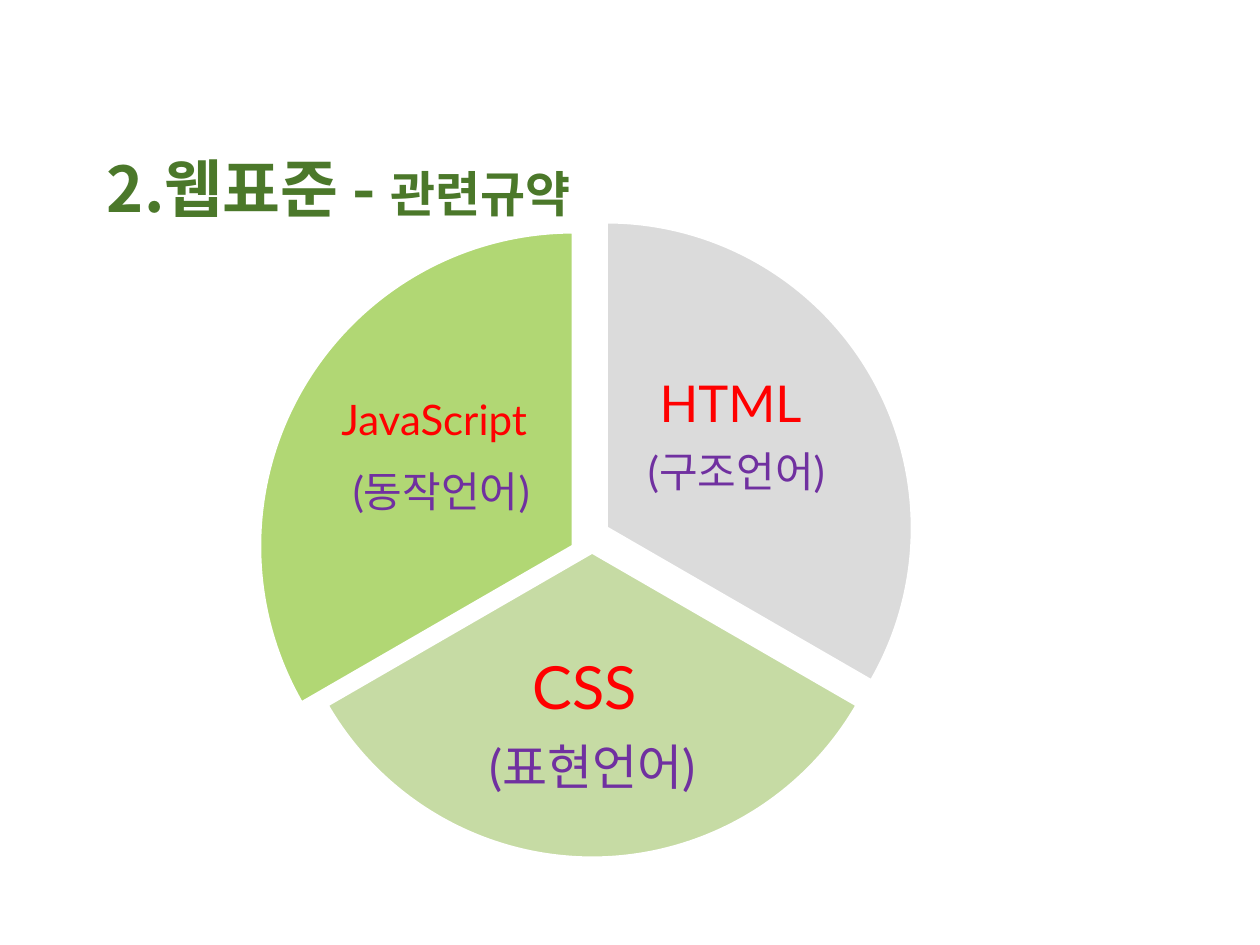
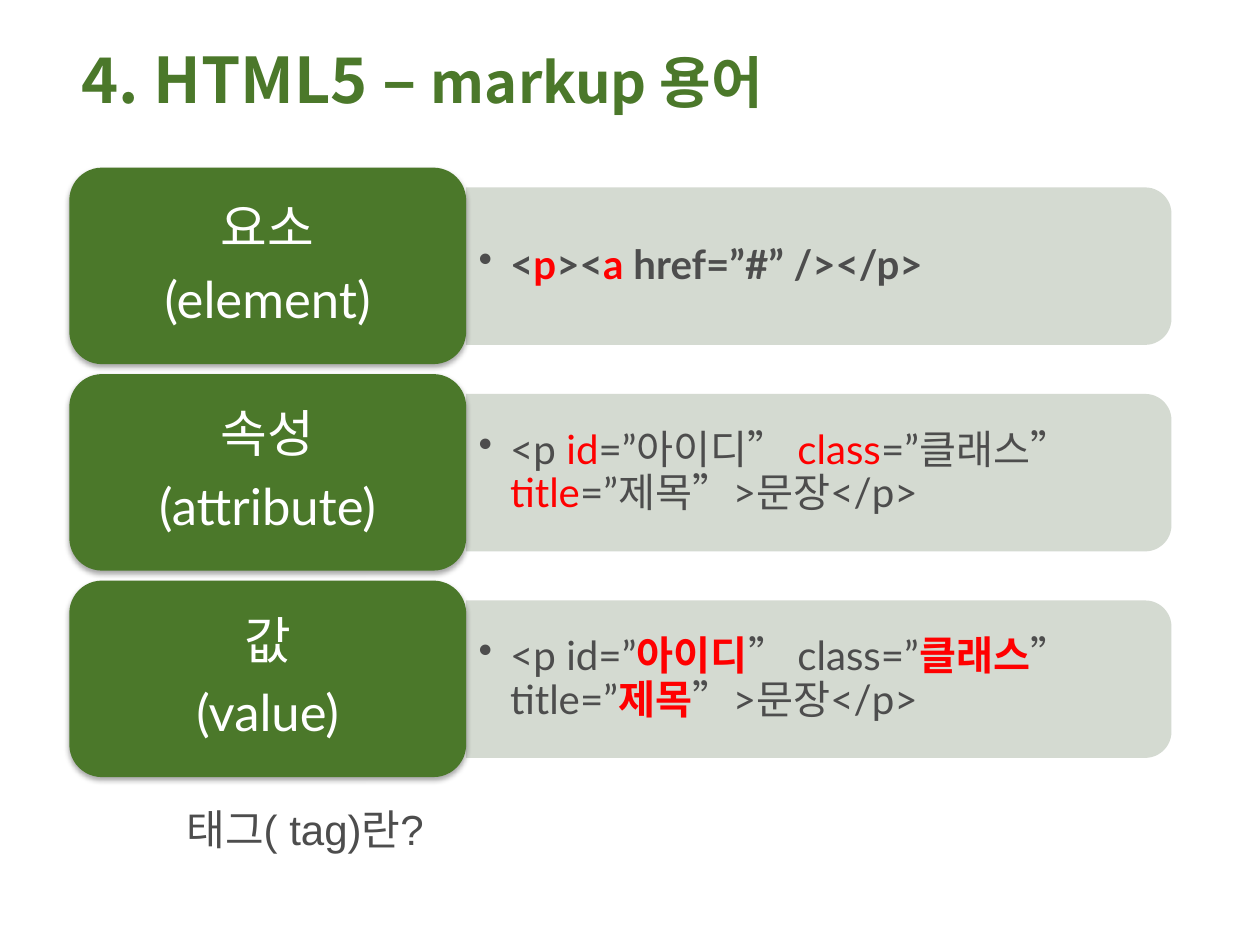
from lxml import etree
from pptx import Presentation
from pptx import util as u
from pptx.dml import color
from pptx.enum import shapes, text
from pptx.oxml import ns

Pt = u.Pt
GREEN, RED, PURPLE, GREY, WHITE = "4B782A", "FF0000", "7030A0", "4D4D4D", "FFFFFF"
KOREAN = "Noto Sans CJK KR"


def rgb(code):
    return color.RGBColor.from_string(code)


def sub(node, tag, **attrs):
    return etree.SubElement(node, ns.qn(tag), {k: str(v) for k, v in attrs.items()})


class Deck:
    """Draws the elements of each slide in one shared style."""

    def __init__(self):
        self.prs = Presentation()
        self.prs.slide_width, self.prs.slide_height = Pt(720), Pt(540)

    def page(self):
        self.slide = self.prs.slides.add_slide(self.prs.slide_layouts[6])

    def box(self, at, paras, font="Lato", pad=(7.2, 3.6), mid=True):
        """Each paragraph is a list of (words, size, colour, bold) runs."""
        frame = self.slide.shapes.add_textbox(*map(Pt, at)).text_frame
        frame.word_wrap = True
        frame.auto_size = text.MSO_AUTO_SIZE.NONE
        frame.margin_left = frame.margin_right = Pt(pad[0])
        frame.margin_top = frame.margin_bottom = Pt(pad[1])
        frame.vertical_anchor = text.MSO_ANCHOR.MIDDLE if mid else text.MSO_ANCHOR.TOP
        for i, runs in enumerate(paras):
            para = frame.add_paragraph() if i else frame.paragraphs[0]
            for words, size, tone, bold in runs:
                run = para.add_run()
                run.text = words
                run.font.size, run.font.bold = Pt(size), bold
                run.font.name = font
                run.font.color.rgb = rgb(tone)
                sub(run.font._element, "a:ea", typeface=KOREAN)
        return frame

    def title(self, left, top, head, tail, size):
        runs = [(head, 36, GREEN, True), (tail, size, GREEN, True)]
        self.box((left, top, 558, 45.4), [runs], KOREAN)

    def stack(self, at, paras, pad):
        """Adds centred lines with a gap in proportion to their size."""
        frame = self.box(at, paras, pad=pad)
        for para, runs in zip(frame.paragraphs, paras):
            para.alignment = text.PP_ALIGN.CENTER
            para.line_spacing = 0.9
            para.space_after = Pt(round(runs[-1][1] * 0.35, 1))

    def shape(self, kind, at, fill, edge=None):
        item = self.slide.shapes.add_shape(kind, *map(Pt, at))
        item.shadow.inherit = False
        item.fill.solid()
        item.fill.fore_color.rgb = rgb(fill)
        if edge:
            item.line.color.rgb, item.line.width = rgb(edge), Pt(2)
        else:
            item.line.fill.background()
        return item

    def slice(self, at, fill, start, end):
        """Adds a pie slice between two angles in degrees."""
        item = self.shape(shapes.MSO_SHAPE.PIE, at, fill, WHITE)
        item.adjustments[0], item.adjustments[1] = start * 0.6, end * 0.6

    def bar(self, top, runs):
        item = self.shape(shapes.MSO_SHAPE.ROUND_2_SAME_RECTANGLE,
                          (422.8, top - 145.3, 90, 403.2), "D0D6CD")
        item.rotation = 90
        tone = item._element.spPr.find(".//" + ns.qn("a:srgbClr"))
        sub(tone, "a:alpha", val=90000)
        para = self.box((266.4, top + 15.8, 398.9, 81.4), [runs]).paragraphs[0]
        para.line_spacing, para.space_after = 0.9, Pt(3.5)
        props = para._p.get_or_add_pPr()
        props.set("marL", str(Pt(18)))
        props.set("indent", str(Pt(-18)))
        sub(props, "a:buChar", char="•")

    def card(self, top, name, term):
        item = self.shape(shapes.MSO_SHAPE.ROUNDED_RECTANGLE,
                          (39.6, top, 226.8, 112.3), GREEN)
        glow = sub(item._element.spPr.find(ns.qn("a:effectLst")), "a:outerShdw",
                   blurRad=Pt(3.1), dist=Pt(1.8), dir=5400000, rotWithShape=0)
        sub(sub(glow, "a:srgbClr", val="000000"), "a:alpha", val=35000)
        lines = [[(word, 29, WHITE, False)] for word in (name, term)]
        self.stack((45, top + 5.5, 216, 101.3), lines, (8.6, 4.3))


def pie(deck):
    deck.page()
    deck.title(54, 84.2, "2.웹표준 - ", "관련규약", 28)
    parts = [
        ((171.4, 126.7, 350, 350), "DBDBDB", 270, 30, (361.4, 191.5, 118.8, 116.6), 2.9,
         ("HTML ", 29), [("(구조언어)", 24, PURPLE, False)]),
        ((163.4, 140.4, 350, 350), "C6DBA4", 30, 150, (259.2, 361.4, 158.4, 108), 3.6,
         ("CSS ", 34), [("(표현언어)", 28, PURPLE, False)]),
        ((148.3, 132.5, 358.6, 359.3), "B1D774", 150, 270, (187.2, 203, 121.7, 119.5), 2.2,
         ("JavaScript", 24), [(" ", 32, WHITE, False), ("(동작언어)", 24, PURPLE, False)]),
    ]
    for at, fill, start, end, spot, pad, (name, size), role in parts:
        deck.slice(at, fill, start, end)
        deck.stack(spot, [[(name, size, RED, False)], role], (pad, pad))


def terms(deck):
    deck.page()
    deck.title(39.6, 22.3, "4. HTML5 – ", "markup 용어", 32)
    rows = [
        ("요소", "(element)", True, True,
         ["<", "p", "><", "a ", "href=”#” /></p>"]),
        ("속성", "(attribute)", False, False,
         ["<p ", "id", "=”아이디” ", "class", "=”클래스” ", "title", "=”제목”>문장</p>"]),
        ("값", "(value)", False, True,
         ["<p id=”", "아이디", "” class=”", "클래스", "” title=”", "제목", "”>문장</p>"]),
    ]
    for i, (name, term, plain, mark, bits) in enumerate(rows):
        top = 95.8 + 118 * i
        runs = [(bit, 23, RED if n % 2 else GREY, mark if n % 2 else plain)
                for n, bit in enumerate(bits)]
        deck.bar(top, runs)
        deck.card(top, name, term)
    ask = deck.box((95.8, 455.8, 157, 36), [[("태그( tag)란?", 24, GREY, False)]],
                   "Arial", mid=False)
    ask.auto_size = text.MSO_AUTO_SIZE.SHAPE_TO_FIT_TEXT
    ask.paragraphs[0].alignment = text.PP_ALIGN.CENTER


def main():
    deck = Deck()
    pie(deck)
    terms(deck)
    deck.prs.save("out.pptx")


if __name__ == "__main__":
    main()
